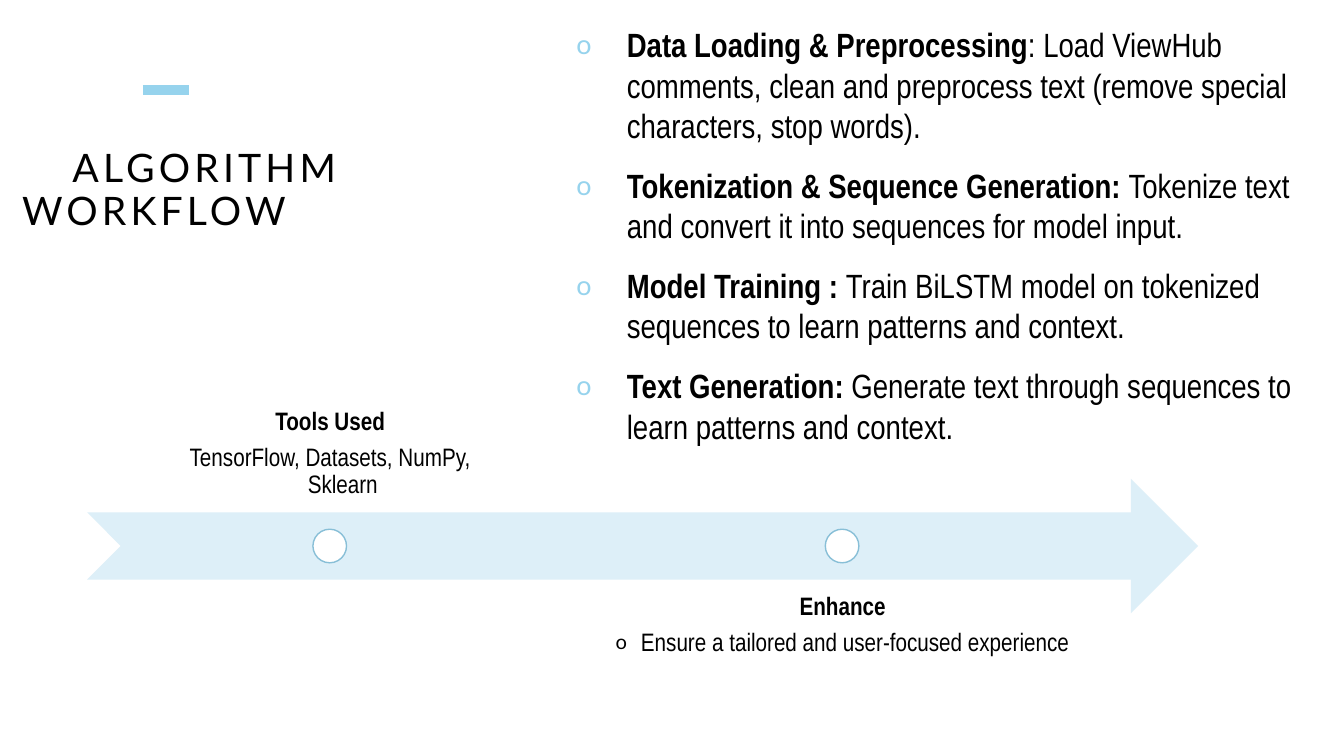
from dataclasses import dataclass

from lxml.etree import SubElement
from pptx import Presentation
from pptx.dml.color import RGBColor as RGB
from pptx.enum.shapes import MSO_CONNECTOR as CONN, MSO_SHAPE as SHAPE
from pptx.enum.text import MSO_ANCHOR as ANCHOR, MSO_AUTO_SIZE as FIT, PP_ALIGN as ALIGN
from pptx.oxml.ns import qn
from pptx.util import Pt

PX = 9525


@dataclass(frozen=True)
class Theme:
    """Colours, fonts and type sizes of the slide."""
    ink: RGB = RGB(0x00, 0x00, 0x00)
    white: RGB = RGB(0xFF, 0xFF, 0xFF)
    accent: RGB = RGB(0x96, 0xD3, 0xED)
    band: RGB = RGB(0xDD, 0xEF, 0xF8)
    ring: RGB = RGB(0x88, 0xBF, 0xD7)
    head_font: str = "Lato"
    body_font: str = "Arial Narrow"
    title: Pt = Pt(28)
    body: Pt = Pt(24)
    label: Pt = Pt(18)


THEME = Theme()

STEPS = [
    ("Data Loading & Preprocessing",
     ": Load ViewHub comments, clean and preprocess text "
     "(remove special characters, stop words)."),
    ("Tokenization & Sequence Generation: ",
     "Tokenize text and convert it into sequences for model input."),
    ("Model Training : ",
     "Train BiLSTM model on tokenized sequences to learn patterns and context."),
    ("Text Generation: ",
     "Generate text through sequences to learn patterns and context."),
]

MILESTONES = [
    ("Tools Used", "TensorFlow, Datasets, NumPy, Sklearn",
     (138, 360, 353, 128), ANCHOR.BOTTOM, False),
    ("Enhance", "Ensure a tailored and user-focused experience",
     (570, 552, 465, 128), ANCHOR.TOP, True),
]


def emu(*lengths):
    """Turn px lengths into EMU."""
    return [n * PX for n in lengths]


def apply(obj, **values):
    """Set each named attribute on an object."""
    for name, value in values.items():
        setattr(obj, name, value)


def set_frame(tf, inset=0, anchor=ANCHOR.TOP):
    """Give a text frame its wrap, insets and anchor."""
    margins = dict.fromkeys(
        ("margin_left", "margin_top", "margin_right", "margin_bottom"), inset * PX)
    apply(tf, word_wrap=True, auto_size=FIT.NONE, vertical_anchor=anchor, **margins)


def add_run(p, text, size, font=THEME.body_font, bold=False):
    """Add a formatted run to a paragraph."""
    r = p.add_run()
    r.text = text
    apply(r.font, size=size, name=font, bold=bold)
    r.font.color.rgb = THEME.ink
    return r


def add_paragraph(tf, first, **values):
    """Return the first or a new paragraph with its format set."""
    p = tf.paragraphs[0] if first else tf.add_paragraph()
    apply(p, **values)
    return p


def set_hanging(p, width):
    """Give a paragraph a hanging indent."""
    pPr = p._p.get_or_add_pPr()
    pPr.set("marL", str(width * PX))
    pPr.set("indent", str(-width * PX))


def add_bullet(p, color):
    """Give a paragraph a round letter bullet."""
    pPr = p._p.get_or_add_pPr()
    clr = SubElement(pPr, qn("a:buClr"))
    SubElement(clr, qn("a:srgbClr"), val=str(color))
    SubElement(pPr, qn("a:buSzPct"), val="80000")
    SubElement(pPr, qn("a:buFont"), typeface=THEME.head_font)
    SubElement(pPr, qn("a:buChar"), char="o")


def add_text_box(s, box, **frame):
    """Add a text box and return its text frame."""
    tf = s.shapes.add_textbox(*emu(*box)).text_frame
    set_frame(tf, **frame)
    return tf


def add_shape(s, kind, box, fill, line=None):
    """Add a flat preset shape."""
    sp = s.shapes.add_shape(kind, *emu(*box))
    sp.shadow.inherit = False
    sp.fill.solid()
    sp.fill.fore_color.rgb = fill
    if line is None:
        sp.line.fill.background()
    else:
        sp.line.color.rgb = line
        sp.line.width = Pt(1)


def add_accent(s):
    """Add the short accent bar above the title."""
    bar = s.shapes.add_connector(CONN.STRAIGHT, *emu(136, 86, 180, 86))
    bar.line.color.rgb = THEME.accent
    bar.line.width = Pt(7)
    SubElement(bar._element.spPr, qn("a:effectLst"))


def set_title(s, text):
    """Place and format the title."""
    sp = s.shapes.title
    left, top, width, height = emu(21, 142, 466, 237)
    apply(sp, left=left, top=top, width=width, height=height)
    set_frame(sp.text_frame)
    p = add_paragraph(sp.text_frame, True, alignment=ALIGN.LEFT, line_spacing=0.9)
    r = add_run(p, text, THEME.title, THEME.head_font)
    r._r.get_or_add_rPr().set("spc", "300")


def add_steps(s):
    """Add the list of workflow steps."""
    tf = add_text_box(s, (549, 23, 709, 512))
    for i, (name, detail) in enumerate(STEPS):
        p = add_paragraph(tf, i == 0, space_before=Pt(14))
        set_hanging(p, 48)
        add_bullet(p, THEME.accent)
        add_run(p, name, THEME.body, bold=True)
        add_run(p, detail, THEME.body)


def add_milestone(s, name, detail, box, anchor, bulleted):
    """Add a milestone label and its dot on the arrow."""
    tf = add_text_box(s, box, inset=13, anchor=anchor)
    common = {"alignment": ALIGN.CENTER, "line_spacing": 0.9}
    p = add_paragraph(tf, True, space_after=Pt(6.3), **common)
    add_run(p, name, THEME.label, bold=True)
    p = add_paragraph(tf, False, space_after=Pt(2.7), level=1, **common)
    set_hanging(p, 24)
    if bulleted:
        add_bullet(p, THEME.ink)
    add_run(p, detail, THEME.label)
    dot = 32
    left = box[0] + (box[2] - dot) // 2
    add_shape(s, SHAPE.OVAL, (left, 504, dot, dot), THEME.white, THEME.ring)


def main():
    """Build and save the slide."""
    prs = Presentation()
    prs.slide_width, prs.slide_height = emu(1280, 720)
    s = prs.slides.add_slide(prs.slide_layouts[5])
    add_accent(s)
    set_title(s, "\tALGORITHM \tWORKFLOW")
    add_steps(s)
    add_shape(s, SHAPE.NOTCHED_RIGHT_ARROW, (83, 456, 1058, 128), THEME.band)
    for milestone in MILESTONES:
        add_milestone(s, *milestone)
    prs.save("out.pptx")


if __name__ == "__main__":
    main()
